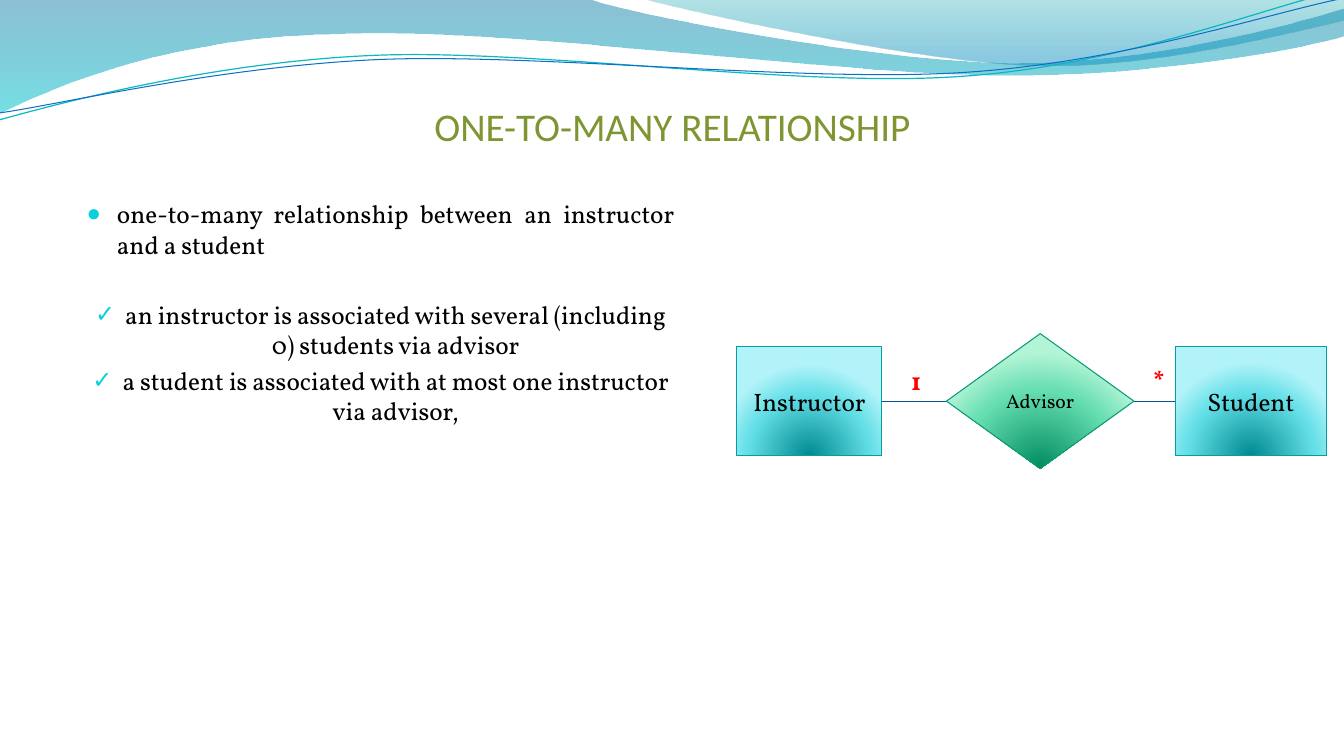
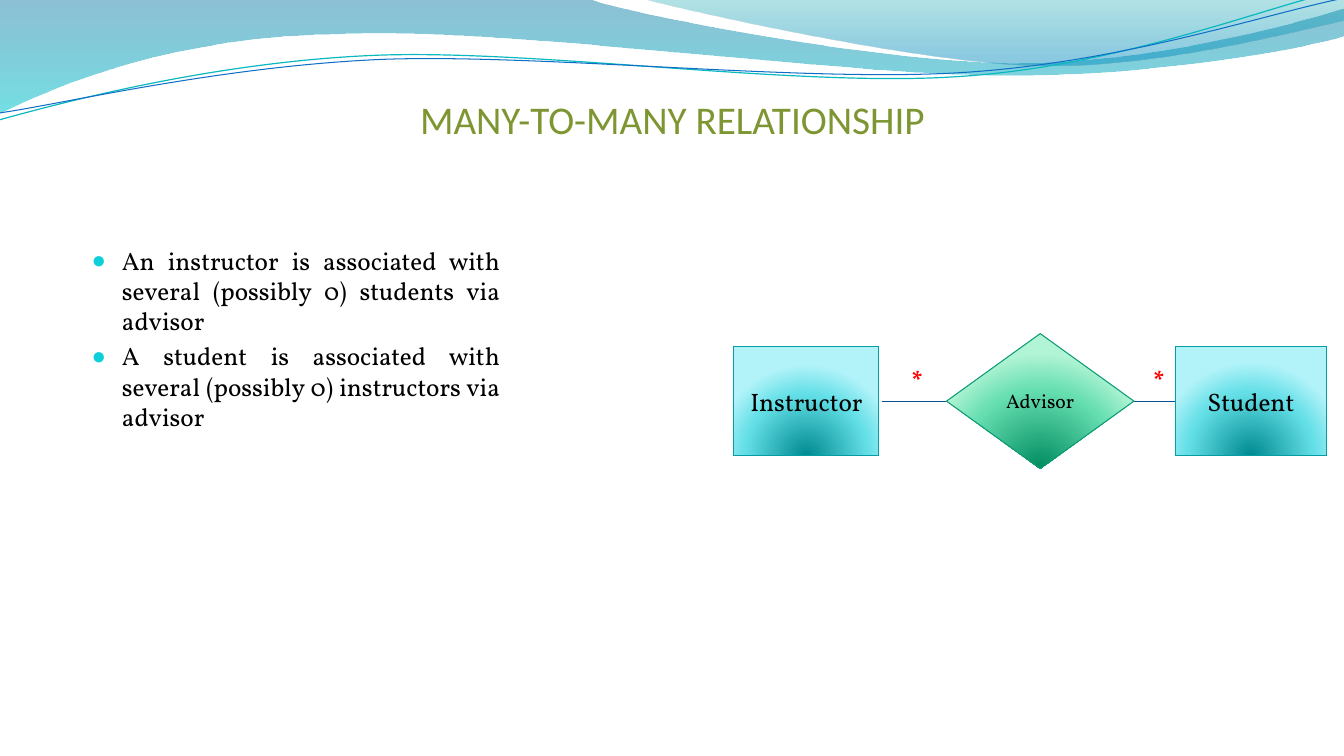
from pptx import Presentation
from pptx.dml.color import RGBColor
from pptx.enum.shapes import MSO_CONNECTOR, MSO_SHAPE
from pptx.enum.text import MSO_ANCHOR, MSO_AUTO_SIZE, PP_ALIGN
from pptx.oxml import parse_xml
from pptx.oxml.ns import nsdecls, qn
from pptx.util import Emu, Pt

PX = 9144  # 100 px to the inch
WIDE = Emu(12192000)  # 16:9 slide width
LINE = MSO_CONNECTOR.STRAIGHT
RECT, DIAMOND = MSO_SHAPE.RECTANGLE, MSO_SHAPE.DIAMOND
MIDDLE, BOTTOM = MSO_ANCHOR.MIDDLE, MSO_ANCHOR.BOTTOM
FIXED, GROW = MSO_AUTO_SIZE.NONE, MSO_AUTO_SIZE.SHAPE_TO_FIT_TEXT
CENTER, LEFT, JUSTIFY = PP_ALIGN.CENTER, PP_ALIGN.LEFT, PP_ALIGN.JUSTIFY

SANS, SERIF = "Calibri", "Vollkorn"
BLACK, RED, OLIVE, CYAN, NAVY = "000000", "FF0000", "7E9632", "0BD0D9", "095295"
DOT, CHECK = "●", "✓"

# Gradient stops: place %, colour, opacity %
TEAL = [(0, "008A91", 100), (68, "64DFE7", 100), (100, "B1F3F9", 100)]
GREEN = [(0, "008C60", 100), (68, "65DEB0", 100), (100, "B2F4D6", 100)]
LINEAR = '<a:lin ang="5400000" scaled="0"/>'
RADIAL = ('<a:path path="circle"><a:fillToRect l="50000" t="130000" '
          'r="50000" b="-30000"/></a:path>')

# Header bands and waves: points in px; six numbers make a curve, two a line
BANDS = [
    ([(0, 0), (587, 0), (634, 17, 885, 63, 1011, 63),
      (1138, 63, 1278, 26, 1333, 9), (1335, 36),
      (1311, 44, 1160, 76, 994, 75), (829, 75, 509, 28, 343, 34),
      (172, 36, 61, 83, -1, 113)],
     [(0, "0074A1", 45), (100, "00C6CF", 55)]),
    ([(639, 0), (679, 11, 909, 62, 1025, 65),
      (1141, 69, 1282, 32, 1333, 21), (1333, 0)],
     [(0, "00A1A9", 30), (80, "008BBF", 45)]),
]
WAVES = [
    ([(-1, 119), (64, 101, 211, 62, 369, 55), (527, 48, 790, 87, 950, 76),
      (1110, 66, 1252, 8, 1331, -10)], "0AB8BF", 0.85),
    ([(0, 112), (63, 103, 218, 66, 378, 59), (537, 53, 796, 82, 955, 72),
      (1115, 62, 1255, 14, 1334, -2)], "0F6FC6", 0.75),
]


def emu(*vals):
    return [Emu(v * PX) for v in vals]


def color(code):
    return RGBColor.from_string(code)


def place(shape, box):
    shape.left, shape.top, shape.width, shape.height = emu(*box)


def stroke(shape, code, width=0.75):
    shape.line.color.rgb = color(code)
    shape.line.width = Pt(width)


def shade(shape, stops, mode):
    """Fill a shape with a gradient."""
    marks = "".join(
        f'<a:gs pos="{pos * 1000}"><a:srgbClr val="{code}">'
        f'<a:alpha val="{alpha * 1000}"/></a:srgbClr></a:gs>'
        for pos, code, alpha in stops)
    shape.fill.background()
    props = shape.element.spPr
    props.replace(props.find(qn("a:noFill")), parse_xml(
        f'<a:gradFill {nsdecls("a")} rotWithShape="1">'
        f'<a:gsLst>{marks}</a:gsLst>{mode}</a:gradFill>'))


def write(para, text, size, code=BLACK, face=SERIF, align=CENTER, bold=False):
    para.alignment = align
    run = para.add_run()
    run.text = text
    font = run.font
    font.name, font.size, font.bold = face, Pt(size), bold
    font.color.rgb = color(code)


# Shared header

def bend(shape, steps):
    """Join each three lines of a six-number step into one curve."""
    lines = iter(shape.element.spPr.findall(".//" + qn("a:lnTo")))
    for step in steps[1:]:
        first = next(lines)
        if len(step) == 2:
            continue
        curve = parse_xml(f'<a:cubicBezTo {nsdecls("a")}/>')
        first.addprevious(curve)
        for line in (first, next(lines), next(lines)):
            curve.append(line[0])
            line.getparent().remove(line)


def outline(slide, steps, close):
    first, *rest = [emu(*step[i:i + 2]) for step in steps
                    for i in range(0, len(step), 2)]
    pen = slide.shapes.build_freeform(*first)
    pen.add_line_segments(rest, close=close)
    shape = pen.convert_to_shape()
    shape.shadow.inherit = False
    bend(shape, steps)
    return shape


def header(slide, master):
    """Draw the bands and waves, then move them to the master."""
    items = []
    for steps, stops in BANDS:
        band = outline(slide, steps, True)
        shade(band, stops, LINEAR)
        band.line.fill.background()
        items.append(band)
    for steps, code, width in WAVES:
        wave = outline(slide, steps, False)
        wave.fill.background()
        stroke(wave, code, width)
        items.append(wave)
    front = master.placeholders[0].element
    for num, item in enumerate(items, 20):
        item.element.nvSpPr.cNvPr.set("id", str(num))
        front.addprevious(item.element)


# Slide parts

def title(slide, text, top):
    shape = slide.shapes.title
    place(shape, (67, top, 1200, 125))
    frame = shape.text_frame
    frame.auto_size, frame.vertical_anchor = FIXED, BOTTOM
    frame.margin_left, frame.margin_top = emu(0, 5)
    frame.margin_right, frame.margin_bottom = emu(0, 0)
    write(frame.paragraphs[0], text, 28, OLIVE, SANS)


def bullets(slide, box, items):
    """Fill the body with (text, mark, alignment, space before) items."""
    shape = slide.placeholders[1]
    place(shape, box)
    frame = shape.text_frame
    frame.auto_size = FIXED
    for num, (text, mark, align, gap) in enumerate(items):
        para = frame.add_paragraph() if num else frame.paragraphs[0]
        write(para, text, 18, align=align)
        para.space_before = Pt(gap)
        props = para._p.get_or_add_pPr()
        indent, = emu(30)
        props.set("marL", str(indent))
        props.set("indent", str(-indent))
        for xml in (f'<a:buClr {nsdecls("a")}><a:srgbClr val="{CYAN}"/></a:buClr>',
                    f'<a:buSzPct {nsdecls("a")} val="95000"/>',
                    f'<a:buChar {nsdecls("a")} char="{mark}"/>'):
            props.append(parse_xml(xml))


def node(slide, kind, box, text, size, stops, edge):
    shape = slide.shapes.add_shape(kind, *emu(*box))
    shape.shadow.inherit = False
    shade(shape, stops, RADIAL)
    stroke(shape, edge)
    frame = shape.text_frame
    frame.word_wrap, frame.vertical_anchor = True, MIDDLE
    write(frame.paragraphs[0], text, size)


def link(slide, start, end, y):
    wire = slide.shapes.add_connector(LINE, *emu(start, y, end, y))
    stroke(wire, NAVY)
    wire.element.spPr.append(parse_xml(f'<a:effectLst {nsdecls("a")}/>'))


def label(slide, left, text):
    frame = slide.shapes.add_textbox(*emu(left, 358, 50, 40)).text_frame
    frame.word_wrap, frame.auto_size = True, GROW
    write(frame.paragraphs[0], text, 18, RED, align=LEFT, bold=True)


def diagram(slide, left, marks):
    """Draw Instructor - Advisor - Student with a mark over each link."""
    for x, width, text in ((left, 144, "Instructor"), (1166, 150, "Student")):
        node(slide, RECT, (x, 344, width, 108), text, 18, TEAL, "069CA3")
    for x, mark in zip((894, 1134), marks):
        label(slide, x, mark)
    for start, end in ((875, 939), (1125, 1166)):
        link(slide, start, end, 398)
    node(slide, DIAMOND, (939, 331, 186, 134), "Advisor", 14, GREEN, "0A9B74")


def main():
    deck = Presentation()
    deck.slide_width, deck.slide_height = WIDE, *emu(750)
    layout = deck.slide_layouts[1]

    # One-to-many
    one = deck.slides.add_slide(layout)
    header(one, deck.slide_master)
    title(one, "ONE-TO-MANY RELATIONSHIP", 23)
    bullets(one, (76, 192, 603, 462), [
        ("one-to-many relationship between an instructor and a student",
         DOT, JUSTIFY, 3.6),
        ("an instructor is associated with several (including 0) students "
         "via advisor", CHECK, CENTER, 28.8),
        ("a student is associated with at most one instructor via advisor,",
         CHECK, CENTER, 3.6)])
    diagram(one, 731, "1*")

    # Many-to-many
    many = deck.slides.add_slide(layout)
    title(many, "MANY-TO-MANY RELATIONSHIP", 16)
    bullets(many, (81, 238, 425, 462), [
        (f"{who} is associated with several (possibly 0) {whom} via advisor",
         DOT, JUSTIFY, 3.6)
        for who, whom in (("An instructor", "students"),
                          ("A student", "instructors"))])
    diagram(many, 728, "**")

    deck.save("out.pptx")


if __name__ == "__main__":
    main()
